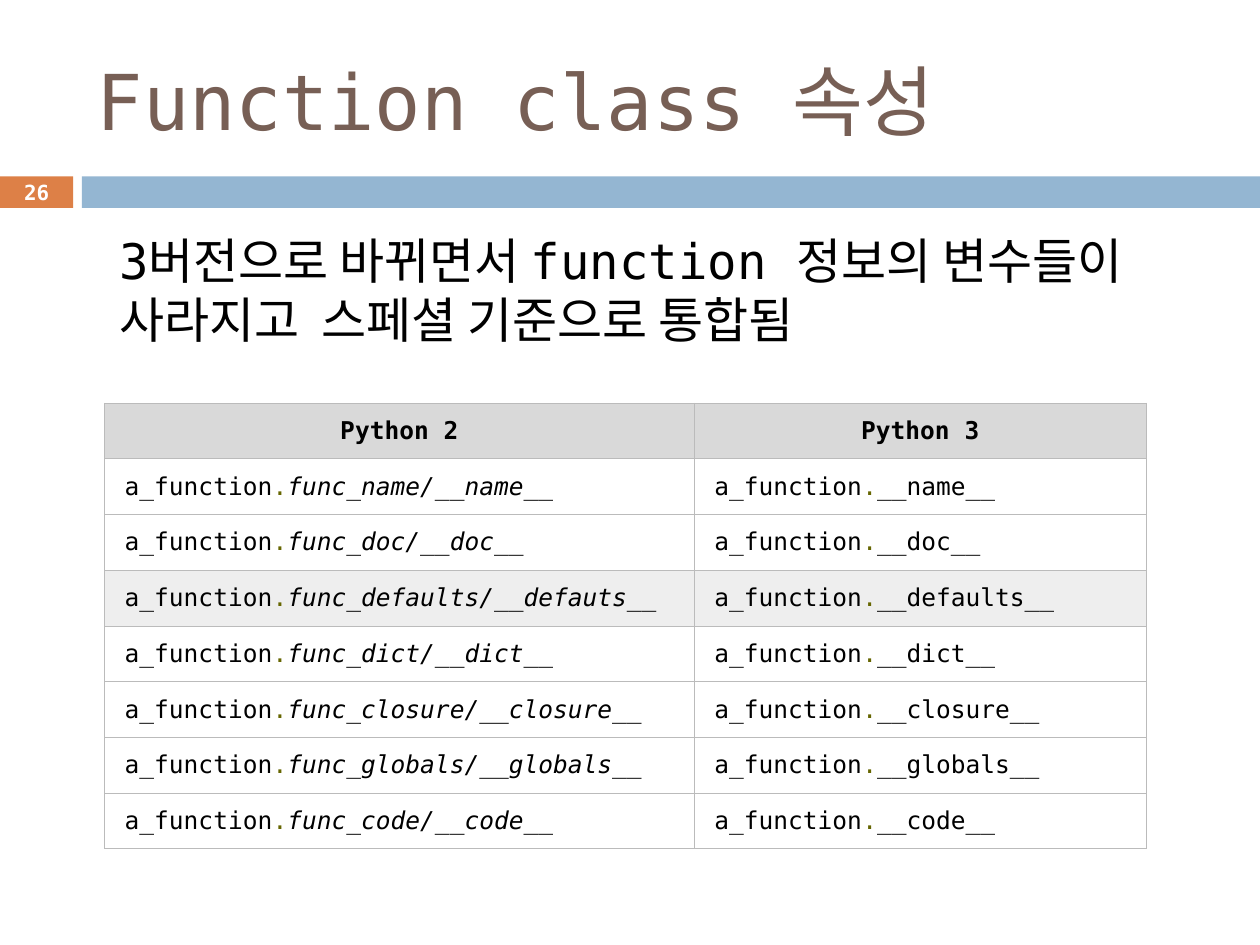
from dataclasses import dataclass

from lxml.etree import SubElement
from pptx import Presentation
from pptx.dml.color import RGBColor
from pptx.enum.shapes import MSO_SHAPE
from pptx.enum.text import MSO_ANCHOR, PP_ALIGN
from pptx.oxml.ns import qn
from pptx.util import Inches, Pt

FONT = "DejaVu Sans Mono"
BLACK = RGBColor(0x00, 0x00, 0x00)
WHITE = RGBColor(0xFF, 0xFF, 0xFF)
BROWN = RGBColor(0x77, 0x5F, 0x55)
ORANGE = RGBColor(0xDD, 0x80, 0x47)
BLUE = RGBColor(0x94, 0xB6, 0xD2)
OLIVE = RGBColor(0x66, 0x66, 0x00)
HEADER_GRAY = RGBColor(0xD9, 0xD9, 0xD9)
ROW_GRAY = RGBColor(0xEE, 0xEE, 0xEE)
BORDER_GRAY = RGBColor(0xBB, 0xBB, 0xBB)


@dataclass
class Box:
    left: float
    top: float
    width: float
    height: float

    def lengths(self) -> list:
        return [Inches(v) for v in (self.left, self.top, self.width, self.height)]


@dataclass
class Run:
    text: str
    size: float
    color: RGBColor = BLACK
    bold: bool = False
    italic: bool = False


@dataclass
class Attribute:
    python2: str
    python3: str
    fill: RGBColor = WHITE


ATTRIBUTES = [
    Attribute("func_name/__name__", "__name__"),
    Attribute("func_doc/__doc__", "__doc__"),
    Attribute("func_defaults/__defauts__", "__defaults__", ROW_GRAY),
    Attribute("func_dict/__dict__", "__dict__"),
    Attribute("func_closure/__closure__", "__closure__"),
    Attribute("func_globals/__globals__", "__globals__"),
    Attribute("func_code/__code__", "__code__"),
]
COLUMN_WIDTHS = [4.68, 3.59]
TABLE_BOX = Box(0.83, 3.2, sum(COLUMN_WIDTHS), 3.54)
CELL_SIZE = 14


def add_runs(p, runs: list[Run]) -> None:
    for run in runs:
        r = p.add_run()
        r.text = run.text
        r.font.name = FONT
        r.font.size = Pt(run.size)
        r.font.color.rgb = run.color
        r.font.bold = run.bold
        r.font.italic = run.italic


def add_bar(s, box: Box, color: RGBColor) -> None:
    sp = s.shapes.add_shape(MSO_SHAPE.RECTANGLE, *box.lengths())
    sp.shadow.inherit = False
    sp.fill.solid()
    sp.fill.fore_color.rgb = color
    sp.line.fill.background()


def add_text(s, box: Box, run: Run, anchor=MSO_ANCHOR.MIDDLE, align=PP_ALIGN.LEFT, indent: float = 0) -> None:
    tf = s.shapes.add_textbox(*box.lengths()).text_frame
    tf.word_wrap = True
    tf.vertical_anchor = anchor
    p = tf.paragraphs[0]
    p.alignment = align
    if indent:
        pPr = p._p.get_or_add_pPr()
        pPr.set("marL", str(Inches(indent)))
        pPr.set("indent", "0")
    add_runs(p, [run])


def add_borders(cell) -> None:
    tcPr = cell._tc.get_or_add_tcPr()
    for side in ("a:lnL", "a:lnR", "a:lnT", "a:lnB"):
        ln = SubElement(tcPr, qn(side), w=str(Pt(0.6)))
        fill = SubElement(ln, qn("a:solidFill"))
        SubElement(fill, qn("a:srgbClr"), val=str(BORDER_GRAY))


def fill_cell(cell, runs: list[Run], fill: RGBColor, margin: float, align=PP_ALIGN.LEFT) -> None:
    add_borders(cell)
    cell.fill.solid()
    cell.fill.fore_color.rgb = fill
    cell.vertical_anchor = MSO_ANCHOR.MIDDLE
    cell.margin_left = cell.margin_right = Inches(margin)
    cell.margin_top = cell.margin_bottom = Inches(0.03)
    p = cell.text_frame.paragraphs[0]
    p.alignment = align
    add_runs(p, runs)


def attribute_runs(name: str, italic: bool) -> list[Run]:
    return [
        Run("a_function", CELL_SIZE),
        Run(".", CELL_SIZE, OLIVE),
        Run(name, CELL_SIZE, italic=italic),
    ]


def add_attribute_table(s) -> None:
    row_count = len(ATTRIBUTES) + 1
    table = s.shapes.add_table(row_count, len(COLUMN_WIDTHS), *TABLE_BOX.lengths()).table
    table.first_row = table.horz_banding = False
    for column, width in zip(table.columns, COLUMN_WIDTHS):
        column.width = Inches(width)
    for row in table.rows:
        row.height = Inches(TABLE_BOX.height / row_count)
    for i, title in enumerate(("Python 2", "Python 3")):
        fill_cell(table.cell(0, i), [Run(title, CELL_SIZE, bold=True)], HEADER_GRAY, 0.06, PP_ALIGN.CENTER)
    for i, attribute in enumerate(ATTRIBUTES, 1):
        fill_cell(table.cell(i, 0), attribute_runs(attribute.python2, True), attribute.fill, 0.16)
        fill_cell(table.cell(i, 1), attribute_runs(attribute.python3, False), attribute.fill, 0.16)


def main() -> None:
    prs = Presentation()
    prs.slide_width, prs.slide_height = Inches(10), Inches(7.5)
    s = prs.slides.add_slide(prs.slide_layouts[6])
    add_bar(s, Box(0, 1.4, 0.58, 0.25), ORANGE)
    add_bar(s, Box(0.65, 1.4, 9.35, 0.25), BLUE)
    add_text(s, Box(0.67, 0.25, 8.92, 1.08), Run("Function class 속성", 44, BROWN))
    add_text(
        s,
        Box(0.5, 1.78, 9, 1.42),
        Run("3버전으로 바뀌면서 function 정보의 변수들이 사라지고  스페셜 기준으로 통합됨", 28),
        anchor=MSO_ANCHOR.TOP,
        indent=0.35,
    )
    add_attribute_table(s)
    add_text(s, Box(0, 1.39, 0.58, 0.27), Run("26", 11.9, WHITE, bold=True), align=PP_ALIGN.CENTER)
    prs.save("out.pptx")


if __name__ == "__main__":
    main()
